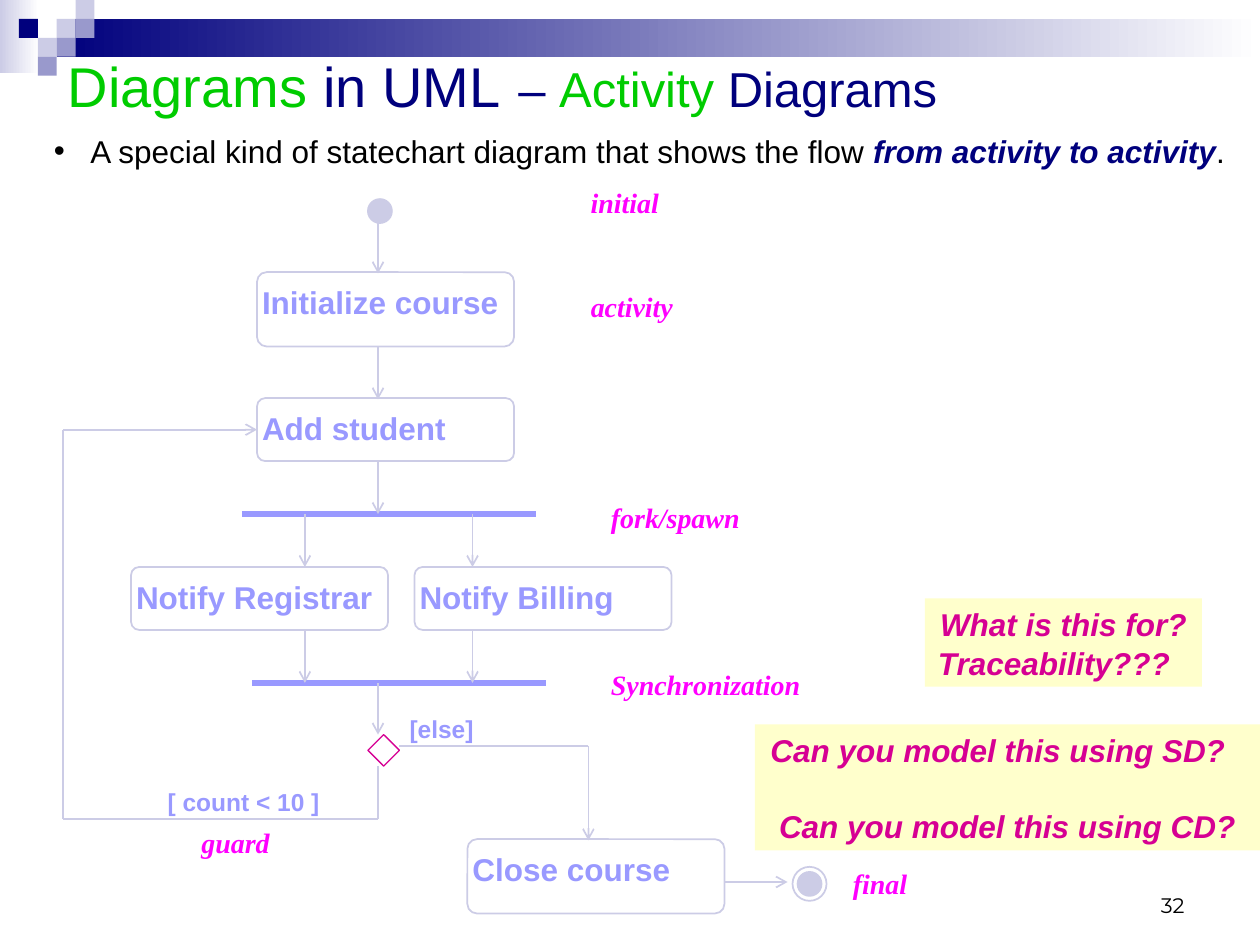
from typing import NamedTuple, Optional

import pptx
import pptx.dml.color
import pptx.enum.shapes
import pptx.enum.text
import pptx.oxml
import pptx.oxml.ns
import pptx.util
from pptx.util import Inches

SHAPE = pptx.enum.shapes.MSO_SHAPE
ALIGN = pptx.enum.text.PP_ALIGN
ANCHOR = pptx.enum.text.MSO_ANCHOR
qn = pptx.oxml.ns.qn

COLORS = {
    "white": "FFFFFF", "black": "000000", "navy": "00007D", "green": "00CC00",
    "mist": "CCCCE6", "slate": "9999CC", "violet": "9999FF",
    "magenta": "FF00FF", "crimson": "D60093", "cream": "FFFFCC",
}
STEP = {"name": "Arial", "size": 18, "bold": True, "color": "violet"}
GUARD = {**STEP, "size": 14}
NOTE = {"name": "Times New Roman", "size": 16, "bold": True, "italic": True, "color": "magenta"}
QUESTION = {"name": "Arial", "size": 18, "bold": True, "italic": True, "color": "crimson"}
TITLE = {"name": "Arial", "size": 32, "color": "navy"}
BODY = {"name": "Arial", "size": 18, "color": "black"}
NUMBER = {"name": "Montserrat", "size": 12, "color": "black"}


class Box(NamedTuple):
    left: float
    top: float
    width: float
    height: float


class Label(NamedTuple):
    text: str
    box: Box


class Flow(NamedTuple):
    x1: float
    y1: float
    x2: float
    y2: float
    arrow: bool = True


def rgb(color: str) -> pptx.dml.color.RGBColor:
    return pptx.dml.color.RGBColor.from_string(COLORS[color])


def drawing_element(tag: str, attributes: str = ""):
    return pptx.oxml.parse_xml(f'<a:{tag} {pptx.oxml.ns.nsdecls("a")} {attributes}/>')


def add_shape(slide, kind, box: Box, fill: Optional[str] = None,
              line: Optional[str] = None, weight: float = 1):
    shape = slide.shapes.add_shape(kind, *map(Inches, box))
    shape.shadow.inherit = False
    if fill:
        shape.fill.solid()
        shape.fill.fore_color.rgb = rgb(fill)
    else:
        shape.fill.background()
    if line:
        shape.line.color.rgb = rgb(line)
        shape.line.width = pptx.util.Pt(weight)
    else:
        shape.line.fill.background()
    return shape


def add_gradient(slide, box: Box, end: str) -> None:
    fill = add_shape(slide, SHAPE.RECTANGLE, box, "white").fill
    fill.gradient()
    fill.gradient_angle = 180
    for stop, color, position in zip(fill.gradient_stops, ("white", end), (0, 1)):
        stop.color.rgb = rgb(color)
        stop.position = position


def add_run(paragraph, text: str, style: dict) -> None:
    run = paragraph.add_run()
    run.text = text
    for key, value in style.items():
        if key == "color":
            run.font.color.rgb = rgb(value)
        else:
            setattr(run.font, key, pptx.util.Pt(value) if key == "size" else value)


def set_frame(shape, inset: tuple = (0.1, 0.05), wrap: bool = False, anchor=ANCHOR.TOP):
    frame = shape.text_frame
    across, down = map(Inches, inset)
    settings = {"margin_left": across, "margin_right": across, "margin_top": down,
                "margin_bottom": down, "word_wrap": wrap, "vertical_anchor": anchor}
    for key, value in settings.items():
        setattr(frame, key, value)
    return frame


def add_text(slide, box: Box, runs: list, **frame_settings):
    textbox = slide.shapes.add_textbox(*map(Inches, box))
    paragraph = set_frame(textbox, **frame_settings).paragraphs[0]
    for text, style in runs:
        add_run(paragraph, text, style)
    return paragraph


def add_activity(slide, activity: Label):
    box = activity.box
    outline = add_shape(slide, SHAPE.ROUNDED_RECTANGLE, box, line="mist")
    outline.adjustments[0] = 0.13
    label_box = Box(box.left + 0.04, box.top + 0.09, box.width - 0.08, 0.3)
    add_text(slide, label_box, [(activity.text, STEP)], inset=(0, 0), wrap=True)
    return outline


def add_flow(slide, flow: Flow, color: str = "mist", weight: float = 1):
    connector = slide.shapes.add_connector(
        pptx.enum.shapes.MSO_CONNECTOR.STRAIGHT, *map(Inches, flow[:4]))
    connector.line.color.rgb = rgb(color)
    connector.line.width = pptx.util.Pt(weight)
    properties = connector.element.spPr
    if flow.arrow:
        properties.find(qn("a:ln")).append(drawing_element("tailEnd", 'type="arrow"'))
    properties.append(drawing_element("effectLst"))
    return connector


def add_question(slide, box: Box, lines: tuple, gap: float, shifted: int) -> None:
    """Centred lines on a cream card; the shifted line sits a little to the left."""
    frame = set_frame(add_shape(slide, SHAPE.RECTANGLE, box, "cream"), wrap=True)
    for index, text in enumerate(lines):
        paragraph = frame.add_paragraph() if index else frame.paragraphs[0]
        paragraph.alignment = ALIGN.CENTER
        if index:
            paragraph.space_before = pptx.util.Pt(gap)
        right_margin = Inches(0.15 if index == shifted else 0)
        paragraph._p.get_or_add_pPr().set("marR", str(right_margin))
        add_run(paragraph, text, QUESTION)


def main() -> None:
    deck = pptx.Presentation()
    deck.slide_width, deck.slide_height = Inches(10), Inches(7.5)
    slide = deck.slides.add_slide(deck.slide_layouts[6])

    # Header band with its mosaic of squares
    add_gradient(slide, Box(0, 0, 0.31, 0.58), "mist")
    add_gradient(slide, Box(0.45, 0.15, 9.55, 0.3), "navy")
    for column, row, color in [(3, 1, "mist"), (4, 0, "mist"), (4, 1, "slate"), (2, 2, "mist"),
                               (1, 1, "navy"), (3, 2, "slate"), (2, 3, "slate")]:
        add_shape(slide, SHAPE.RECTANGLE, Box(column * 0.15, row * 0.15, 0.15, 0.15), color)

    # Title and definition
    subtitle = {**TITLE, "size": 28}
    add_text(slide, Box(0.44, 0.25, 8.5, 0.75), [
        ("Diagrams", {**TITLE, "color": "green"}), (" in UML", TITLE),
        (" ", {**TITLE, "size": 36}), ("– ", subtitle),
        ("Activity", {**subtitle, "color": "green"}), (" Diagrams", subtitle),
    ], wrap=True, anchor=ANCHOR.BOTTOM)
    definition = add_text(slide, Box(0.33, 1, 9.67, 0.4), [
        ("A special kind of statechart diagram that shows the flow ", BODY),
        ("from activity to activity", {**BODY, "color": "navy", "bold": True, "italic": True}),
        (".", BODY),
    ], wrap=True)
    bullet = definition._p.get_or_add_pPr()
    bullet.set("marL", str(Inches(0.29)))
    bullet.set("indent", str(-Inches(0.29)))
    bullet.append(drawing_element("buFont", 'typeface="Arial"'))
    bullet.append(drawing_element("buChar", 'char="•"'))

    # Activities
    activities = [
        Label("Initialize course", Box(2.04, 2.16, 2.04, 0.59)),
        Label("Add student", Box(2.04, 3.16, 2.04, 0.5)),
        Label("Notify Registrar", Box(1.04, 4.5, 2.04, 0.5)),
        Label("Notify Billing", Box(3.29, 4.5, 2.04, 0.5)),
        Label("Close course", Box(3.71, 6.66, 2.04, 0.59)),
    ]
    outlines = {activity.text: add_activity(slide, activity) for activity in activities}

    # Initial and final states
    add_shape(slide, SHAPE.OVAL, Box(2.92, 1.58, 0.19, 0.19), "mist", "mist")
    add_shape(slide, SHAPE.OVAL, Box(6.29, 6.88, 0.27, 0.27), line="mist")
    add_shape(slide, SHAPE.OVAL, Box(6.33, 6.92, 0.19, 0.19), "mist", "mist")

    # Fork and synchronization bars
    for left, right, y in [(1.92, 4.25, 4.08), (2, 4.33, 5.42)]:
        add_flow(slide, Flow(left, y, right, y, False), "violet", 3)

    # Downward flows
    for x, top, bottom in [(3, 1.75, 2.17), (3, 2.75, 3.17), (3, 3.67, 4.08), (3, 5.42, 5.83),
                           (2.42, 4.08, 4.5), (3.75, 4.08, 4.5),
                           (2.42, 5, 5.42), (3.75, 5, 5.42), (4.67, 5.92, 6.67)]:
        add_flow(slide, Flow(x, top, x, bottom))

    # Exit to the final state, and the loop back to Add student
    for flow in [Flow(3.17, 5.92, 4.67, 5.92, False), Flow(5.75, 7, 6.25, 7),
                 Flow(3, 6.08, 3, 6.5, False), Flow(3, 6.5, 0.5, 6.5, False),
                 Flow(0.5, 3.41, 0.5, 6.5, False)]:
        add_flow(slide, flow)
    loop_back = add_flow(slide, Flow(0.5, 3.41, 2.04, 3.41))
    loop_back.end_connect(outlines["Add student"], 1)

    # Decision and its guards
    add_shape(slide, SHAPE.DIAMOND, Box(2.92, 5.83, 0.25, 0.25), "white", "crimson", 0.75)
    for guard in [Label("[ count < 10 ]", Box(1.33, 6.25, 1.21, 0.23)),
                  Label("[else]", Box(3.25, 5.67, 0.51, 0.23))]:
        add_text(slide, guard.box, [(guard.text, GUARD)], inset=(0, 0))

    # Notation names
    for note in [Label("initial", Box(4.59, 1.42, 0.74, 0.37)),
                 Label("activity", Box(4.59, 2.25, 0.85, 0.37)),
                 Label("fork/spawn", Box(4.75, 3.92, 1.22, 0.37)),
                 Label("Synchronization", Box(4.75, 5.25, 1.7, 0.37)),
                 Label("guard", Box(1.5, 6.5, 0.74, 0.37)),
                 Label("final", Box(6.67, 6.83, 0.63, 0.37))]:
        add_text(slide, note.box, [(note.text, NOTE)])

    # Questions and slide number
    add_question(slide, Box(7.34, 4.75, 2.2, 0.7), ("What is this for?", "Traceability???"), 1, 1)
    add_question(slide, Box(5.99, 5.75, 4.01, 1),
                 ("Can you model this using SD?", "Can you model this using CD?"), 22, 0)
    number = add_text(slide, Box(7.17, 6.83, 2.33, 0.5), [("32", NUMBER)],
                      wrap=True, anchor=ANCHOR.BOTTOM)
    number.alignment = ALIGN.RIGHT

    deck.save("out.pptx")


if __name__ == "__main__":
    main()
